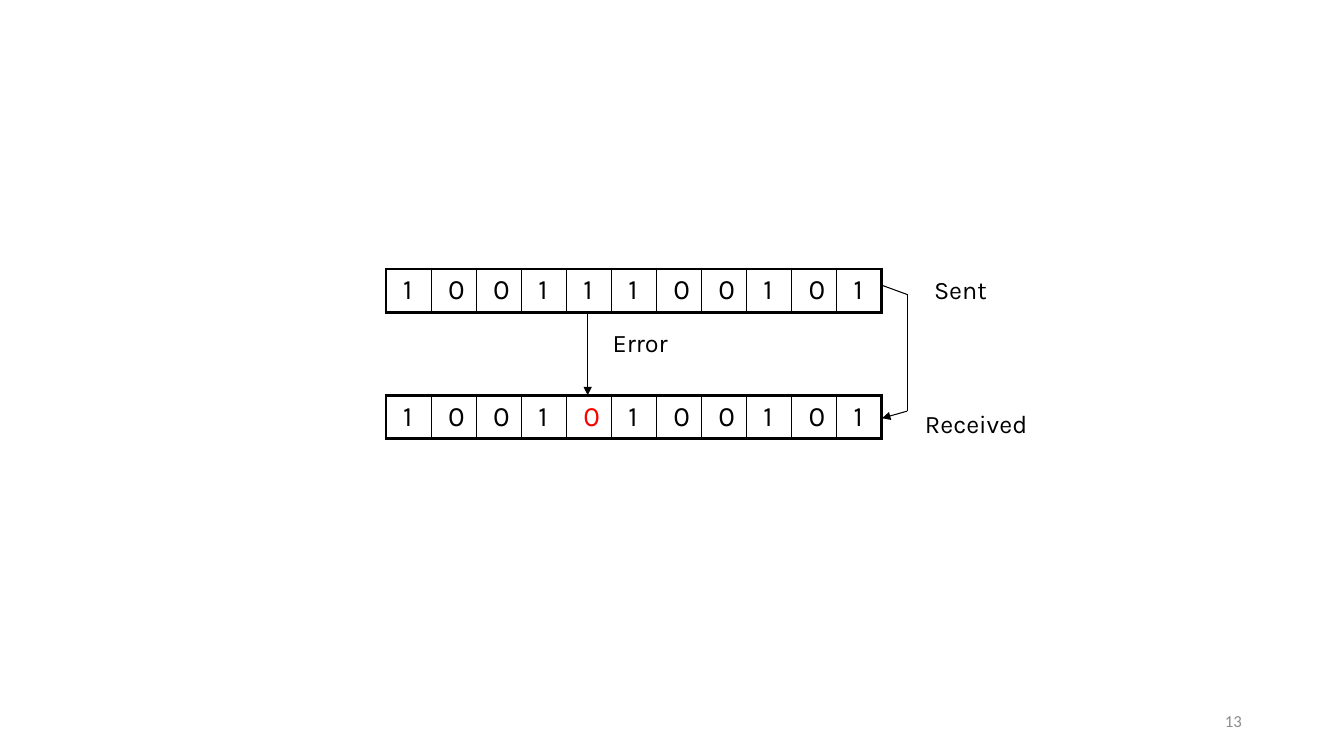
"""Draw a sent and a received bit row with a single-bit error."""
from dataclasses import dataclass
from typing import NamedTuple

from lxml import etree
from pptx import Presentation, dml, util as u
from pptx.dml import color
from pptx.enum import shapes, text
from pptx.oxml import ns
from pptx.util import Cm, Pt


@dataclass(frozen=True)
class Theme:
    ink: str = "000000"
    error: str = "FF0000"
    muted: str = "8C8C8C"
    font: str = "Karla"
    plain: str = "Calibri"
    bit: int = 20
    label: int = 18
    small: int = 12
    thin: float = 0.75
    inner: float = 1
    frame: float = 2.25


class Row(NamedTuple):
    bits: str
    top: float
    wrong: int | None = None


class Label(NamedTuple):
    text: str
    left: float
    top: float
    width: float
    size: int
    font: str
    ink: str
    form: dict


class Line(NamedTuple):
    start: tuple[float, float]
    end: tuple[float, float]
    arrow: bool = False


THEME = Theme()
LEFT, WIDTH, HEIGHT = 9.73, 12.49, 1.09
RIGHT, BEND, HIT = 22.23, 22.86, 14.81
ROWS = (Row("10011100101", 6.78), Row("10010100101", 9.96, 4))
LABELS = (
    Label("Sent", 23.29, 6.78, 2.34, THEME.label, THEME.font, THEME.ink, {}),
    Label("Received", 23.06, 10.16, 4.01, THEME.label, THEME.font, THEME.ink, {}),
    Label("Error", 15.19, 8.13, 1.91, THEME.label, THEME.font, THEME.ink,
          {"word_wrap": False}),
    Label("13", 23.93, 17.65, 7.62, THEME.small, THEME.plain, THEME.muted,
          {"vertical_anchor": text.MSO_ANCHOR.MIDDLE}),
)
LINES = (
    Line((HIT, 7.87), (HIT, 9.96), True),
    Line((RIGHT, 7.19), (BEND, 7.42)),
    Line((BEND, 7.42), (BEND, 10.36)),
    Line((BEND, 10.36), (RIGHT, 10.54), True),
)


def apply(item: object, form: dict) -> None:
    """Set each named value on the item."""
    for name, value in form.items():
        setattr(item, name, value)


def write(frame: object, words: str, size: int, font: str, ink: str) -> None:
    """Put one formatted run in the frame."""
    run = frame.paragraphs[0].add_run()
    run.text = words
    apply(run.font, {"size": Pt(size), "name": font})
    run.font.color.rgb = color.RGBColor.from_string(ink)


def edge(cell: object, sides: dict[str, float]) -> None:
    """Give the cell a solid border on each side."""
    props = cell._tc.get_or_add_tcPr()
    for i, (side, width) in enumerate(sides.items()):
        line = etree.Element(ns.qn(f"a:ln{side}"), w=str(int(Pt(width))))
        fill = etree.SubElement(line, ns.qn("a:solidFill"))
        etree.SubElement(fill, ns.qn("a:srgbClr"), val=THEME.ink)
        props.insert(i, line)


def draw_row(slide: object, row: Row) -> None:
    """Draw one row of bits as a table."""
    count = len(row.bits)
    table = slide.shapes.add_table(
        1, count, Cm(LEFT), Cm(row.top), Cm(WIDTH), Cm(HEIGHT)).table
    apply(table, {"first_row": False, "horz_banding": False})
    for i, bit in enumerate(row.bits):
        cell = table.cell(0, i)
        cell.fill.background()
        apply(cell, {"margin_left": Cm(0.43), "margin_right": 0})
        ink = THEME.error if i == row.wrong else THEME.ink
        write(cell.text_frame, bit, THEME.bit, THEME.font, ink)
        edge(cell, {
            "L": THEME.inner if i else THEME.frame,
            "R": THEME.inner if i < count - 1 else THEME.frame,
            "T": THEME.frame,
            "B": THEME.frame,
        })


def draw_label(slide: object, label: Label) -> None:
    """Draw one text label."""
    box = slide.shapes.add_textbox(
        Cm(label.left), Cm(label.top), Cm(label.width), Cm(1.02))
    apply(box.text_frame, {"word_wrap": True} | label.form)
    write(box.text_frame, label.text, label.size, label.font, label.ink)
    if label.font == THEME.plain:
        box.text_frame.paragraphs[0].alignment = text.PP_ALIGN.RIGHT


def draw_line(slide: object, line: Line) -> None:
    """Draw one straight line, with an arrowhead if asked."""
    link = slide.shapes.add_connector(
        shapes.MSO_CONNECTOR.STRAIGHT, *map(Cm, line.start + line.end))
    link.line.width = Pt(THEME.thin)
    link.line.color.rgb = color.RGBColor.from_string(THEME.ink)
    if line.arrow:
        etree.SubElement(link.line._get_or_add_ln(), ns.qn("a:tailEnd"),
                         type="triangle")
    etree.SubElement(link._element.spPr, ns.qn("a:effectLst"))


def main() -> None:
    """Build and save the slide."""
    deck = Presentation()
    apply(deck, {"slide_width": Cm(33.87), "slide_height": Cm(19.05)})
    slide = deck.slides.add_slide(deck.slide_layouts[6])
    for draw, items in ((draw_row, ROWS), (draw_line, LINES),
                        (draw_label, LABELS)):
        for item in items:
            draw(slide, item)
    deck.save("out.pptx")


main()
